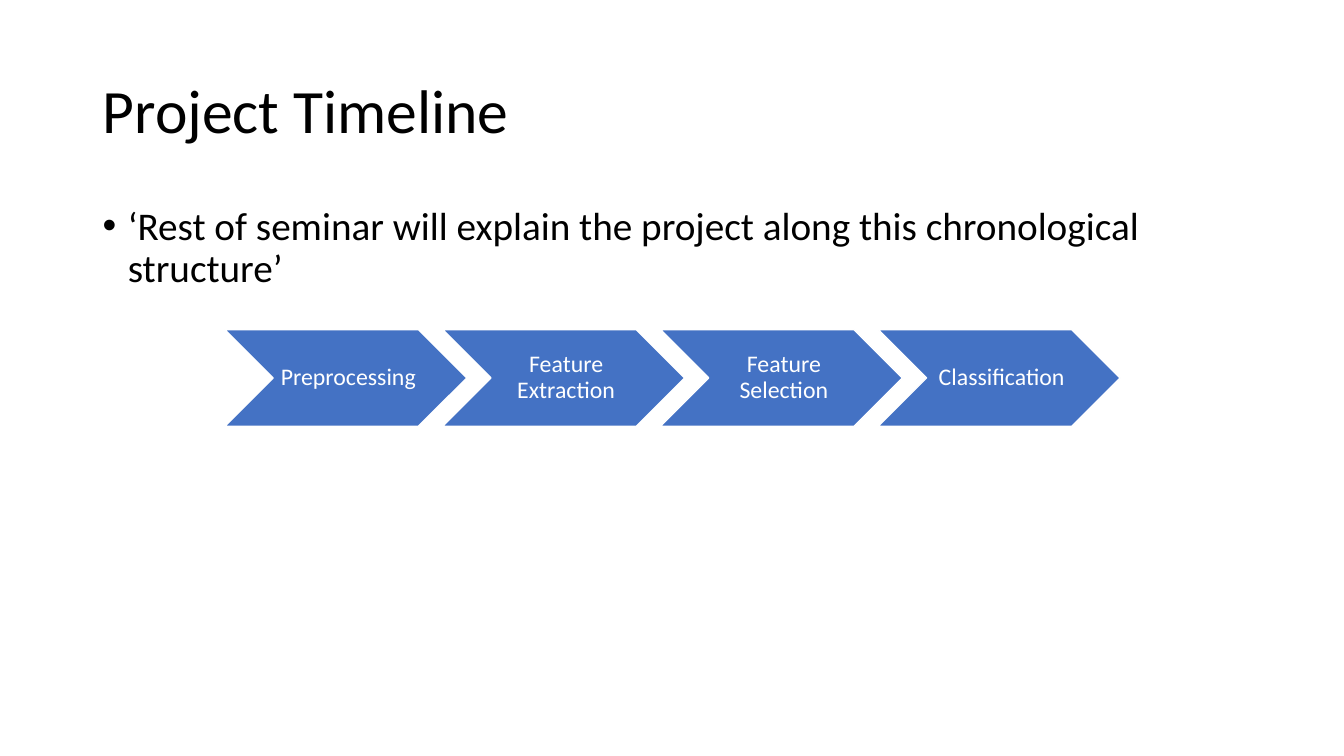
from lxml import etree
from pptx import Presentation
from pptx.dml.color import RGBColor
from pptx.enum.shapes import MSO_SHAPE
from pptx.enum.text import MSO_ANCHOR, PP_ALIGN
from pptx.oxml.ns import qn
from pptx.util import Pt

PX = 9144  # EMU per px, 100 px to the inch
STAGES = ["Preprocessing", "Feature Extraction", "Feature Selection", "Classification"]


def rgb(value):
    return RGBColor.from_string(value)


def write(tf, text, size, color, align, anchor):
    tf.word_wrap = True
    tf.vertical_anchor = anchor
    p = tf.paragraphs[0]
    p.text = text
    p.alignment = align
    p.line_spacing = 0.9
    p.font.name = "Calibri"
    p.font.size = Pt(size)
    p.font.color.rgb = rgb(color)
    return p


prs = Presentation()
prs.slide_width, prs.slide_height = 1333 * PX, 750 * PX
s = prs.slides.add_slide(prs.slide_layouts[5])

title = s.shapes.title
title.left, title.top, title.width, title.height = 92 * PX, 40 * PX, 1150 * PX, 145 * PX
write(title.text_frame, "Project Timeline", 44, "000000", PP_ALIGN.LEFT, MSO_ANCHOR.MIDDLE)

body = s.shapes.add_textbox(92 * PX, 200 * PX, 1150 * PX, 476 * PX)
p = write(
    body.text_frame,
    "‘Rest of seminar will explain the project along this chronological structure’",
    28, "000000", PP_ALIGN.LEFT, MSO_ANCHOR.TOP,
)
p.space_before = Pt(10)
pPr = p._p.get_or_add_pPr()
pPr.set("marL", str(25 * PX))
pPr.set("indent", str(-25 * PX))
bullet_font = etree.Element(qn("a:buFont"), typeface="Arial")
bullet = etree.Element(qn("a:buChar"), char="•")
default_run = pPr.find(qn("a:defRPr"))
default_run.addprevious(bullet_font)
default_run.addprevious(bullet)

for i, stage in enumerate(STAGES):
    sp = s.shapes.add_shape(
        MSO_SHAPE.CHEVRON, (223 + 216 * i) * PX, 327 * PX, 240 * PX, 96 * PX
    )
    sp.shadow.inherit = False
    sp.fill.solid()
    sp.fill.fore_color.rgb = rgb("4472C4")
    sp.line.color.rgb = rgb("FFFFFF")
    sp.line.width = Pt(1)
    tf = sp.text_frame
    tf.margin_left = 7 * PX
    tf.margin_top = tf.margin_right = tf.margin_bottom = 2 * PX
    write(tf, stage, 17, "FFFFFF", PP_ALIGN.CENTER, MSO_ANCHOR.MIDDLE)

prs.save("out.pptx")
